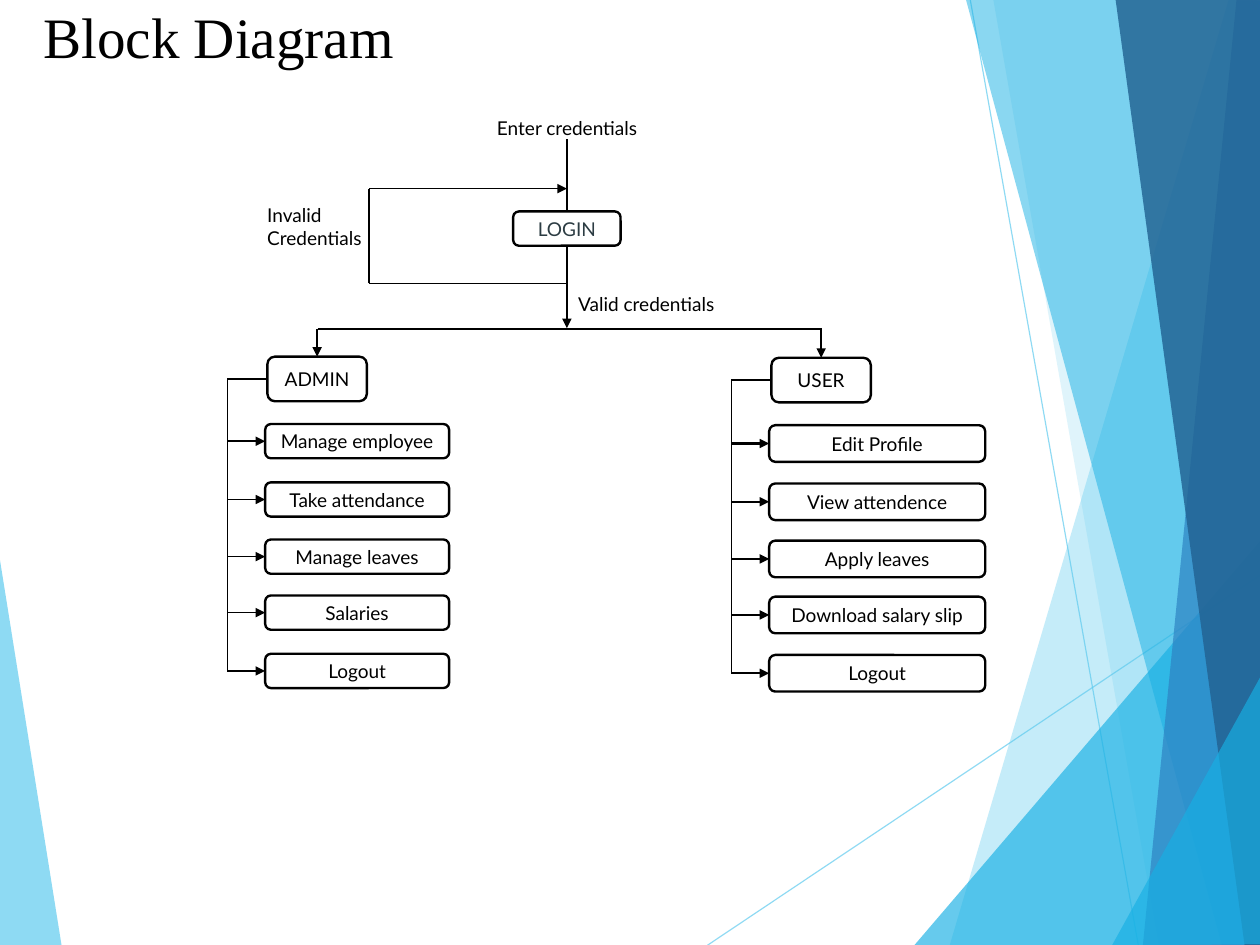
from lxml.etree import SubElement
from pptx import Presentation
from pptx.dml.color import RGBColor
from pptx.enum.shapes import MSO_CONNECTOR as Link, MSO_SHAPE as Preset
from pptx.enum.text import MSO_ANCHOR as Anchor, PP_ALIGN as Align
from pptx.oxml.ns import qn
from pptx.util import Emu, Pt

PX = 9144  # 100 px to the inch
TOP, LEFT, BOTTOM = 0, 1, 2
color = RGBColor.from_string

prs = Presentation()
prs.slide_width, prs.slide_height = Emu(10080625), Emu(7559675)  # 28 by 21 cm
slide = prs.slides.add_slide(prs.slide_layouts[6])
shapes = slide.shapes


def add_line(x1, y1, x2, y2, width=1, ink="000000", arrow=False):
    link = shapes.add_connector(Link.STRAIGHT, *[int(v * PX) for v in (x1, y1, x2, y2)])
    link.line.width = Pt(width)
    link.line.color.rgb = color(ink)
    spPr = link._element.spPr
    if arrow:
        SubElement(spPr.find(qn("a:ln")), qn("a:tailEnd"), type="triangle")
    SubElement(spPr, qn("a:effectLst"))
    return link


def add_block(label, left, top, width, height, ink="000000"):
    block = shapes.add_shape(Preset.ROUNDED_RECTANGLE, left * PX, top * PX, width * PX, height * PX)
    block.shadow.inherit = False
    block.fill.solid()
    block.fill.fore_color.rgb = color("FFFFFF")
    block.line.color.rgb = color("000000")
    block.line.width = Pt(1.5)
    frame = block.text_frame
    frame.text = label
    frame.vertical_anchor = Anchor.MIDDLE
    frame.paragraphs[0].alignment = Align.CENTER
    for name, value in {"size": Pt(12), "name": "Lato"}.items():
        setattr(frame.paragraphs[0].font, name, value)
    frame.paragraphs[0].font.color.rgb = color(ink)
    return block


# Translucent facets and rays along the slide edges
facets = [
    ("5FCBEF", 70, [(-1, 484), (54, 828), (-1, 827)]),
    ("5FCBEF", 36, [(1075, 0), (831, 827), (1104, 828), (1103, 1)]),
    ("5FCBEF", 20, [(869, -1), (1014, 827), (1103, 827), (1103, -1)]),
    ("17B0E4", 66, [(800, 827), (1103, 473), (1103, 827)]),
    ("17B0E4", 50, [(845, -1), (1069, 827), (1103, 826), (1103, -1)]),
    ("2E83C3", 70, [(1082, -1), (1000, 827), (1103, 827), (1103, -1)]),
    ("226292", 82, [(976, -1), (1089, 827), (1104, 827), (1103, -1)]),
    ("17B0E4", 66, [(973, 827), (1104, 590), (1105, 826)]),
]
translucent = [
    (add_line(619, 827, 1103, 503, 0.75, "5FCBEF"), 70),
    (add_line(849, 0, 996, 827, 0.75, "5FCBEF"), 70),
]
for ink, opacity, corners in facets:
    outline = shapes.build_freeform(*corners[0], scale=PX)
    outline.add_line_segments(corners[1:], close=True)
    facet = outline.convert_to_shape()
    facet.shadow.inherit = False
    facet.fill.solid()
    facet.fill.fore_color.rgb = color(ink)
    facet.line.fill.background()
    translucent.append((facet, opacity))
for part, opacity in translucent:
    tint = next(part._element.iter(qn("a:srgbClr")))
    SubElement(tint, qn("a:alpha"), val=str(opacity * 1000))

# Title and captions
captions = [
    ("Block Diagram", 28, -4, 378, 71, 36, "Times New Roman"),
    ("Enter credentials", 425, 97, 189, 30, 12, "Lato"),
    ("Valid credentials", 496, 251, 165, 30, 12, "Lato"),
    ("Invalid Credentials", 224, 173, 106, 50, 12, "Lato"),
]
for words, left, top, width, height, size, face in captions:
    caption = shapes.add_textbox(left * PX, top * PX, width * PX, height * PX)
    caption.text_frame.word_wrap = True
    caption.text_frame.text = words
    font = caption.text_frame.paragraphs[0].font
    for name, value in {"size": Pt(size), "name": face}.items():
        setattr(font, name, value)
    font.color.rgb = color("000000")

# Login with its retry loop
login = add_block("LOGIN", 449, 185, 94, 30, "2C3C43")
add_line(496, 122, 496, 185).end_connect(login, TOP)
add_line(496, 215, 496, 287, arrow=True).begin_connect(login, BOTTOM)
add_line(496, 248, 323, 248)
add_line(323, 248, 323, 165)
add_line(323, 165, 496, 165, arrow=True)
add_line(278, 288, 719, 288)

# Role branches: role, left, top, spine x, item left, width, height, arrow width, items
branches = [
    ("ADMIN", 234, 312, 199, 232, 161, 30, 1,
     ["Manage employee", "Take attendance", "Manage leaves", "Salaries", "Logout"]),
    ("USER", 675, 313, 640, 673, 189, 32, 1.5,
     ["Edit Profile", "View attendence", "Apply leaves", "Download salary slip", "Logout"]),
]
item_offsets = [59, 110, 160, 209, 260]
for role, left, top, spine, item_left, width, height, weight, items in branches:
    head = add_block(role, left, top, 87, 39)
    add_line(left + 43.5, 288, left + 43.5, top, arrow=True).end_connect(head, TOP)
    add_line(left, top + 19.5, spine, top + 19.5).begin_connect(head, LEFT)
    add_line(spine, top + 19.5, spine, top + item_offsets[-1] + height / 2)
    for item, offset in zip(items, item_offsets):
        block = add_block(item, item_left, top + offset, width, height)
        middle = top + offset + height / 2
        add_line(spine, middle, item_left, middle, weight, arrow=True).end_connect(block, LEFT)

prs.save("out.pptx")
